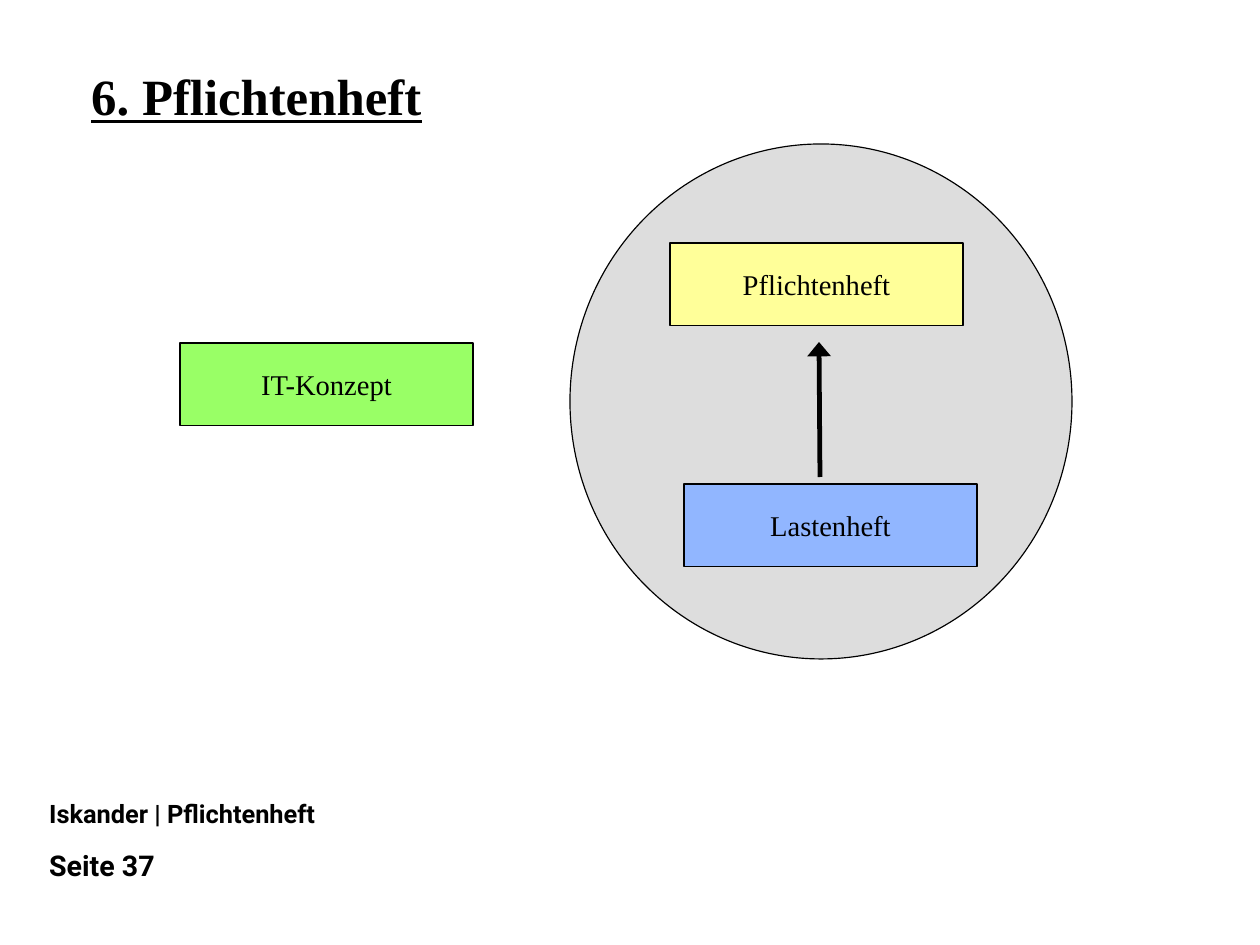
from lxml.etree import SubElement as Sub
from pptx import Presentation
from pptx.dml.color import RGBColor as Rgb
from pptx.enum.shapes import MSO_CONNECTOR as Conn, MSO_SHAPE as Kind
from pptx.enum.text import MSO_ANCHOR as Anchor, PP_ALIGN as Align
from pptx.oxml.ns import qn
from pptx.util import Pt

SCALE = 8000
SERIF = "Times New Roman"
SANS = "Roboto"
BLACK = "000000"


def px(*nums):
    return [n * SCALE for n in nums]


def paint(color, code):
    color.rgb = Rgb.from_string(code)


def write(frame, text, face, size, bold=False):
    par = frame.paragraphs[0]
    par.text = text
    font = par.font
    font.name, font.size, font.bold = face, Pt(size), bold
    paint(font.color, BLACK)
    return par


def label(slide, area, text, face, size):
    frame = slide.shapes.add_textbox(*px(*area)).text_frame
    frame.word_wrap = True
    return write(frame, text, face, size, True)


def shape(slide, kind, area, fill):
    item = slide.shapes.add_shape(kind, *px(*area))
    item.shadow.inherit = False
    item.fill.solid()
    paint(item.fill.fore_color, fill)
    paint(item.line.color, BLACK)
    item.line.width = Pt(0.75)
    return item


def box(slide, left, top, text, fill):
    frame = shape(slide, Kind.RECTANGLE, (left, top, 293, 83), fill).text_frame
    frame.word_wrap = False
    frame.vertical_anchor = Anchor.MIDDLE
    write(frame, text, SERIF, 18).alignment = Align.CENTER


def arrow(slide, ends):
    link = slide.shapes.add_connector(Conn.STRAIGHT, *px(*ends))
    paint(link.line.color, BLACK)
    link.line.width = Pt(3)
    Sub(link.line._get_or_add_ln(), qn("a:tailEnd"), type="triangle", w="lg", len="med")
    Sub(link._element.spPr, qn("a:effectLst"))


def main():
    deck = Presentation()
    deck.slide_width, deck.slide_height = px(1260, 945)
    slide = deck.slides.add_slide(deck.slide_layouts[6])

    label(slide, (38, 793, 826, 42), "Iskander | Pflichtenheft", SANS, 16)
    label(slide, (38, 842, 378, 50), "Seite 37", SANS, 18)
    title = label(slide, (80, 65, 1071, 122), "6. Pflichtenheft", SERIF, 32)
    title.font.underline = True
    title.line_spacing = 0.93

    shape(slide, Kind.OVAL, (570, 144, 502, 515), "DDDDDD")
    box(slide, 180, 343, "IT-Konzept", "99FF66")
    box(slide, 684, 484, "Lastenheft", "91B6FF")
    box(slide, 670, 243, "Pflichtenheft", "FFFF99")
    arrow(slide, (820, 477, 819, 342))

    deck.save("out.pptx")


if __name__ == "__main__":
    main()
